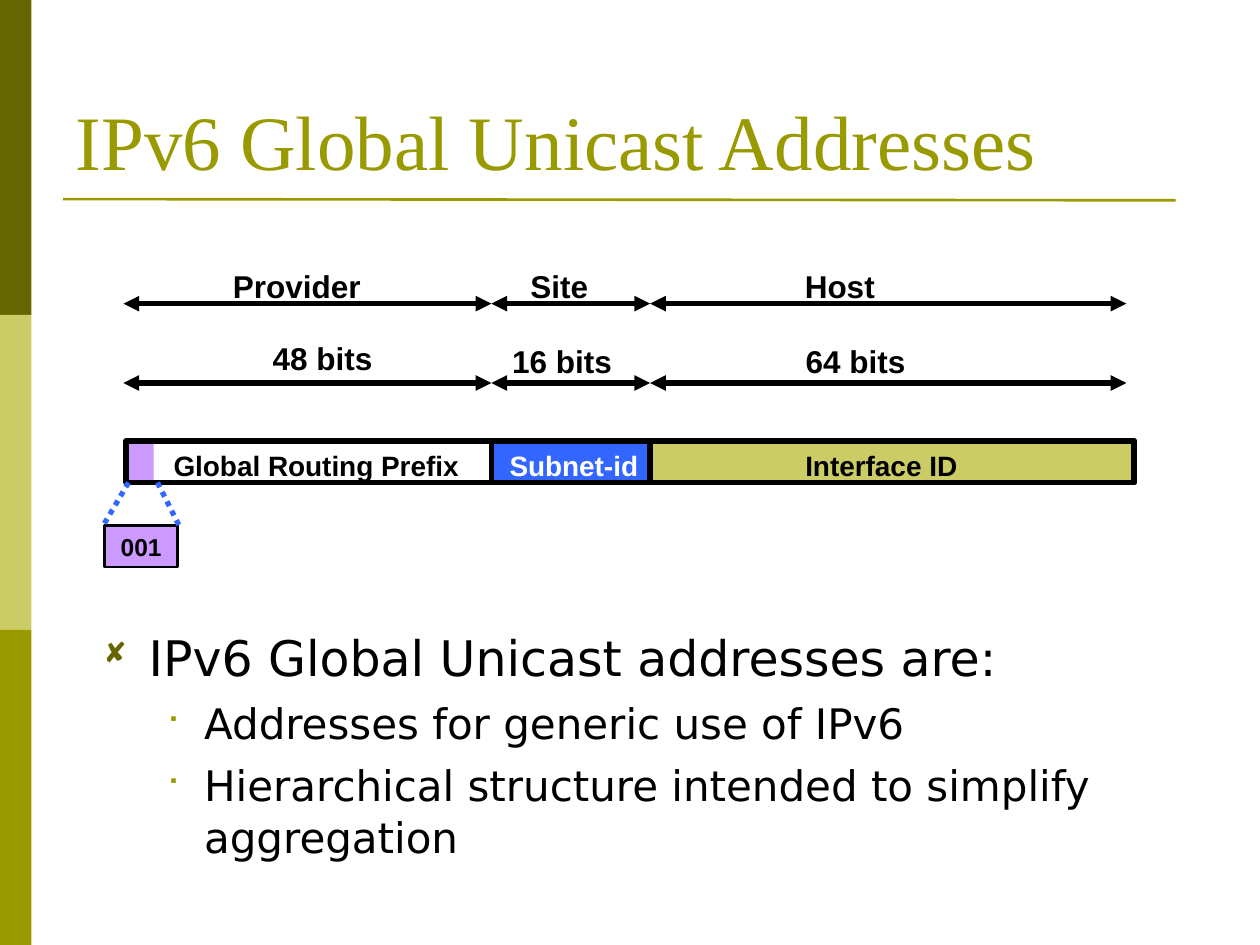
from lxml import etree
from pptx import Presentation
from pptx.dml.color import RGBColor
from pptx.enum import dml, shapes, text
from pptx.oxml import ns
from pptx.util import Inches, Pt

COLORS = {
    "dark_olive": "666600", "olive": "999900", "light_olive": "CCCC66",
    "lilac": "CC99FF", "blue": "3366FF", "black": "000000", "white": "FFFFFF",
}
rgb = {name: RGBColor.from_string(value) for name, value in COLORS.items()}

deck = Presentation()
deck.slide_width, deck.slide_height = Inches(10), Inches(7.5)
slide = deck.slides.add_slide(deck.slide_layouts[1])


def style_text(box, words, size, color="black", before=0):
    frame = box.text_frame
    frame.text = words
    frame.word_wrap = True
    frame.auto_size = text.MSO_AUTO_SIZE.SHAPE_TO_FIT_TEXT
    frame.vertical_anchor = text.MSO_ANCHOR.TOP
    frame.margin_top = Inches(0.07)
    line = frame.paragraphs[0]
    line.alignment = text.PP_ALIGN.CENTER
    line.line_spacing = 0.93
    line.space_before = Pt(before)
    line.font.name, line.font.size, line.font.bold = "Arial", Pt(size), True
    line.font.color.rgb = rgb[color]


def draw_line(start, end, color, width, dash=None, arrows=False):
    line = slide.shapes.add_connector(
        shapes.MSO_CONNECTOR.STRAIGHT, *map(Inches, start + end))
    line.line.color.rgb = rgb[color]
    line.line.width = Pt(width)
    if dash:
        line.line.dash_style = dash
    if arrows:
        for tip in ("a:headEnd", "a:tailEnd"):
            etree.SubElement(line.line._ln, ns.qn(tip), type="triangle")
    etree.SubElement(line._element.spPr, ns.qn("a:effectLst"))


rectangles = [
    (0, 0, 0.25, 2.5, "dark_olive", 0),
    (0, 2.5, 0.25, 2.5, "light_olive", 0),
    (0, 5, 0.25, 2.5, "olive", 0),
    (1, 3.51, 0.22, 0.32, "lilac", 0),
    (5, 3.5, 4, 0.33, "light_olive", 3),
    (3.9, 3.5, 1.26, 0.33, "blue", 3),
    (1, 3.5, 8, 0.33, None, 3),
    (0.83, 4.17, 0.58, 0.33, "lilac", 1.5),
]
for *place, fill, border in rectangles:
    field = slide.shapes.add_shape(shapes.MSO_SHAPE.RECTANGLE, *map(Inches, place))
    field.shadow.inherit = False
    if fill:
        field.fill.solid()
        field.fill.fore_color.rgb = rgb[fill]
    else:
        field.fill.background()
    if border:
        field.line.color.rgb = rgb["black"]
        field.line.width = Pt(border)
    else:
        field.line.fill.background()
format_prefix = field
style_text(format_prefix, "001", 14, before=8.8)

draw_line((0.5, 1.58), (9.33, 1.59), "olive", 1.5)
for top, bottom in ((1.02, 0.82), (1.25, 1.42)):
    draw_line((top, 3.83), (bottom, 4.17), "blue", 3, dash=dml.MSO_LINE.ROUND_DOT)

bounds = [0.98, 3.9, 5.16, 8.94]
for height in (2.41, 3.04):
    for left, right in zip(bounds, bounds[1:]):
        draw_line((left, height), (right, height), "black", 3, arrows=True)

labels = [
    ("Provider", 1.7, 2.08, 1.31, 0.4, 18, "black", 0),
    ("Site", 4.06, 2.08, 0.76, 0.4, 18, "black", 0),
    ("Host", 6.24, 2.08, 0.85, 0.4, 18, "black", 0),
    ("48 bits", 1.85, 2.65, 1.42, 0.4, 18, "black", 11.2),
    ("16 bits", 3.75, 2.67, 1.42, 0.4, 18, "black", 11.2),
    ("64 bits", 6.08, 2.67, 1.42, 0.4, 18, "black", 11.2),
    ("Global Routing Prefix", 1.22, 3.51, 2.58, 0.37, 16, "black", 10),
    ("Subnet-id", 3.82, 3.51, 1.47, 0.37, 16, "white", 10),
    ("Interface ID", 5.08, 3.51, 3.83, 0.37, 16, "black", 10),
]
for words, left, top, width, height, *style in labels:
    label = slide.shapes.add_textbox(*map(Inches, (left, top, width, height)))
    style_text(label, words, *style)

title = slide.shapes.title
title.left, title.top, title.width, title.height = map(Inches, (0.5, 0, 9, 1.55))
title.text_frame.text = "IPv6 Global Unicast Addresses"
title.text_frame.auto_size = text.MSO_AUTO_SIZE.NONE
title.text_frame.vertical_anchor = text.MSO_ANCHOR.BOTTOM
heading = title.text_frame.paragraphs[0]
heading.alignment = text.PP_ALIGN.LEFT
heading.line_spacing = 0.98
heading.font.name, heading.font.size = "Times New Roman", Pt(44)
heading.font.color.rgb = rgb["olive"]

body = slide.placeholders[1]
body.left, body.top, body.width, body.height = map(Inches, (0.72, 4.92, 8.68, 2))
body.text_frame.text = "\n".join([
    "IPv6 Global Unicast addresses are:",
    "Addresses for generic use of IPv6",
    "Hierarchical structure intended to simplify aggregation",
])
body.text_frame.auto_size = text.MSO_AUTO_SIZE.NONE
levels = [
    (28, 7, 0.36, 0.36, "◻", "dark_olive"),
    (24, 6, 0.8, 0.3, "■", "olive"),
]
for point, level in zip(body.text_frame.paragraphs, (0, 1, 1)):
    size, before, margin, hanging, mark, mark_color = levels[level]
    point.level = level
    point.line_spacing = 1.02
    point.space_before = Pt(before)
    point.font.name, point.font.size = "DejaVu Sans", Pt(size)
    point.font.color.rgb = rgb["black"]
    props = point._p.get_or_add_pPr()
    props.set("marL", str(Inches(margin)))
    props.set("indent", str(-Inches(hanging)))
    bullet = [
        etree.Element(ns.qn("a:buClr")),
        etree.Element(ns.qn("a:buSzPct"), val="75000"),
        etree.Element(ns.qn("a:buFont"), typeface="Wingdings"),
        etree.Element(ns.qn("a:buChar"), char=mark),
    ]
    etree.SubElement(bullet[0], ns.qn("a:srgbClr"), val=COLORS[mark_color])
    defaults = props.find(ns.qn("a:defRPr"))
    for part in bullet:
        defaults.addprevious(part)

deck.save("out.pptx")
